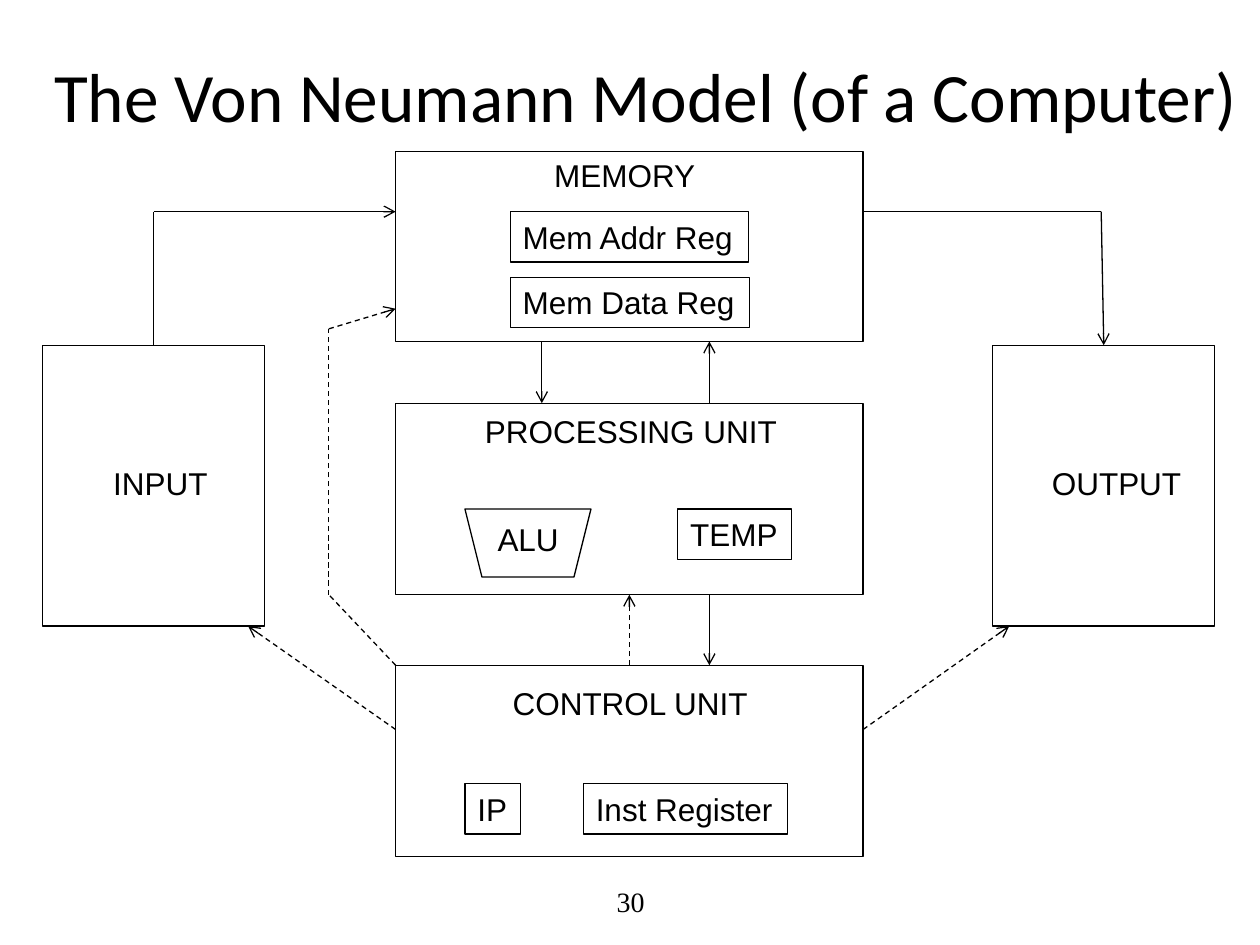
from typing import NamedTuple, Optional

import lxml.etree
import pptx
import pptx.dml.color
import pptx.enum.dml
import pptx.enum.shapes
import pptx.enum.text
import pptx.oxml.ns
import pptx.util
from pptx.util import Inches

COLORS = {"ink": "000000", "paper": "FFFFFF"}
TOP, BOTTOM = 0, 2
LABEL_HEIGHT = 0.4
UNIT_LEFT, UNIT_WIDTH = 3.14, 3.71
UNIT_RIGHT = UNIT_LEFT + UNIT_WIDTH
DEVICE_TOP, DEVICE_WIDTH, DEVICE_HEIGHT = 2.74, 1.76, 2.23
DEVICE_BOTTOM = DEVICE_TOP + DEVICE_HEIGHT
MEMORY_BOTTOM, PROCESSING_TOP, PROCESSING_BOTTOM, CONTROL_TOP = 2.71, 3.2, 4.72, 5.28
BUS_Y, CONTROL_SIDE_Y, BYPASS_X = 1.68, 5.79, 2.61


class Box(NamedTuple):
    left: float
    top: float
    width: float
    height: float


class Label(NamedTuple):
    text: str
    left: float
    top: float
    width: float
    framed: bool = False


class Joint(NamedTuple):
    box: str
    side: int


class Wire(NamedTuple):
    start: tuple[float, float]
    end: tuple[float, float]
    arrow: bool = True
    dashed: bool = False
    start_joint: Optional[Joint] = None
    end_joint: Optional[Joint] = None


BOXES = {
    "control": Box(UNIT_LEFT, CONTROL_TOP, UNIT_WIDTH, 1.52),
    "processing": Box(UNIT_LEFT, PROCESSING_TOP, UNIT_WIDTH, 1.52),
    "memory": Box(UNIT_LEFT, 1.2, UNIT_WIDTH, 1.51),
    "input": Box(0.34, DEVICE_TOP, DEVICE_WIDTH, DEVICE_HEIGHT),
    "output": Box(7.88, DEVICE_TOP, DEVICE_WIDTH, DEVICE_HEIGHT),
}
ALU = Box(3.69, 4.04, 1, 0.54)

LABELS = [
    Label("CONTROL UNIT", 3.97, 5.38, 2.09),
    Label("IP", 3.69, 6.22, 0.44, framed=True),
    Label("Inst Register", 4.63, 6.22, 1.62, framed=True),
    Label("PROCESSING UNIT", 3.75, 3.22, 2.54),
    Label("ALU", 3.85, 4.08, 0.69),
    Label("TEMP", 5.38, 4.04, 0.9, framed=True),
    Label("MEMORY", 4.3, 1.19, 1.33),
    Label("Mem Addr Reg", 4.05, 1.68, 1.89, framed=True),
    Label("Mem Data Reg", 4.05, 2.2, 1.9, framed=True),
    Label("INPUT", 0.8, 3.63, 0.96),
    Label("OUTPUT", 8.25, 3.63, 1.24),
]

WIRES = [
    Wire((4.3, MEMORY_BOTTOM), (4.3, PROCESSING_TOP)),
    Wire((5.63, PROCESSING_TOP), (5.63, MEMORY_BOTTOM)),
    Wire((5.63, PROCESSING_BOTTOM), (5.63, CONTROL_TOP)),
    Wire((1.22, DEVICE_TOP), (1.22, BUS_Y), arrow=False,
         start_joint=Joint("input", TOP)),
    Wire((1.22, BUS_Y), (UNIT_LEFT, BUS_Y)),
    Wire((UNIT_RIGHT, BUS_Y), (8.74, BUS_Y), arrow=False),
    Wire((8.74, BUS_Y), (8.76, DEVICE_TOP), end_joint=Joint("output", TOP)),
    Wire((5, CONTROL_TOP), (5, PROCESSING_BOTTOM), dashed=True,
         start_joint=Joint("control", TOP),
         end_joint=Joint("processing", BOTTOM)),
    Wire((UNIT_LEFT, CONTROL_SIDE_Y), (1.97, DEVICE_BOTTOM), dashed=True),
    Wire((UNIT_RIGHT, CONTROL_SIDE_Y), (8.01, DEVICE_BOTTOM), dashed=True),
    Wire((UNIT_LEFT, CONTROL_TOP), (BYPASS_X, PROCESSING_BOTTOM), arrow=False, dashed=True),
    Wire((BYPASS_X, PROCESSING_BOTTOM), (BYPASS_X, 2.61), arrow=False, dashed=True),
    Wire((BYPASS_X, 2.61), (UNIT_LEFT, 2.45), dashed=True),
]


def color(name: str) -> pptx.dml.color.RGBColor:
    return pptx.dml.color.RGBColor.from_string(COLORS[name])


def style_line(line) -> None:
    line.color.rgb = color("ink")
    line.width = pptx.util.Pt(0.75)


def write_text(shape, text: str, font_name: str, size: float, alignment) -> None:
    shape.text_frame.text = text
    paragraph = shape.text_frame.paragraphs[0]
    paragraph.alignment = alignment
    font = paragraph.runs[0].font
    font.name = font_name
    font.size = pptx.util.Pt(size)
    font.color.rgb = color("ink")


def draw_outline(slide, kind, box: Box):
    shape = slide.shapes.add_shape(kind, *(Inches(value) for value in box))
    shape.shadow.inherit = False
    shape.fill.background()
    style_line(shape.line)
    return shape


def draw_label(slide, label: Label) -> None:
    box = Box(label.left, label.top, label.width, LABEL_HEIGHT)
    if label.framed:
        shape = draw_outline(slide, pptx.enum.shapes.MSO_SHAPE.RECTANGLE, box)
    else:
        shape = slide.shapes.add_textbox(*(Inches(value) for value in box))
    write_text(shape, label.text, "Arial", 18, pptx.enum.text.PP_ALIGN.LEFT)
    frame = shape.text_frame
    frame.word_wrap = False
    frame.auto_size = pptx.enum.text.MSO_AUTO_SIZE.SHAPE_TO_FIT_TEXT
    frame.vertical_anchor = pptx.enum.text.MSO_ANCHOR.TOP


def draw_wire(slide, wire: Wire, boxes: dict) -> None:
    connector = slide.shapes.add_connector(
        pptx.enum.shapes.MSO_CONNECTOR.STRAIGHT,
        *(Inches(value) for value in wire.start + wire.end))
    if wire.start_joint:
        connector.begin_connect(boxes[wire.start_joint.box], wire.start_joint.side)
    if wire.end_joint:
        connector.end_connect(boxes[wire.end_joint.box], wire.end_joint.side)
    style_line(connector.line)
    if wire.dashed:
        connector.line.dash_style = pptx.enum.dml.MSO_LINE.DASH
    qualified = pptx.oxml.ns.qn
    properties = connector._element.spPr
    if wire.arrow:
        lxml.etree.SubElement(
            properties.find(qualified("a:ln")), qualified("a:tailEnd"), type="arrow")
    lxml.etree.SubElement(properties, qualified("a:effectLst"))


def draw_title(slide, text: str) -> None:
    title = slide.shapes.title
    title.left, title.top = Inches(0.25), Inches(0.17)
    title.width, title.height = Inches(9.75), Inches(1.17)
    write_text(title, text, "Calibri", 39.6, pptx.enum.text.PP_ALIGN.CENTER)
    title.text_frame.vertical_anchor = pptx.enum.text.MSO_ANCHOR.MIDDLE


def draw_page_number(slide, text: str) -> None:
    number = slide.shapes.add_textbox(Inches(3.42), Inches(6.95), Inches(3.17), Inches(0.4))
    write_text(number, text, "Times New Roman", 16, pptx.enum.text.PP_ALIGN.CENTER)
    number.text_frame.word_wrap = True
    number.text_frame.vertical_anchor = pptx.enum.text.MSO_ANCHOR.MIDDLE


def main() -> None:
    presentation = pptx.Presentation()
    presentation.slide_width, presentation.slide_height = Inches(10), Inches(7.5)
    slide = presentation.slides.add_slide(presentation.slide_layouts.get_by_name("Title Only"))
    slide.background.fill.solid()
    slide.background.fill.fore_color.rgb = color("paper")

    draw_title(slide, "The Von Neumann Model (of a Computer)")
    draw_page_number(slide, "30")
    boxes = {name: draw_outline(slide, pptx.enum.shapes.MSO_SHAPE.RECTANGLE, box)
             for name, box in BOXES.items()}
    draw_outline(slide, pptx.enum.shapes.MSO_SHAPE.TRAPEZOID, ALU).rotation = 180
    for label in LABELS:
        draw_label(slide, label)
    for wire in WIRES:
        draw_wire(slide, wire, boxes)
    presentation.save("out.pptx")


if __name__ == "__main__":
    main()
